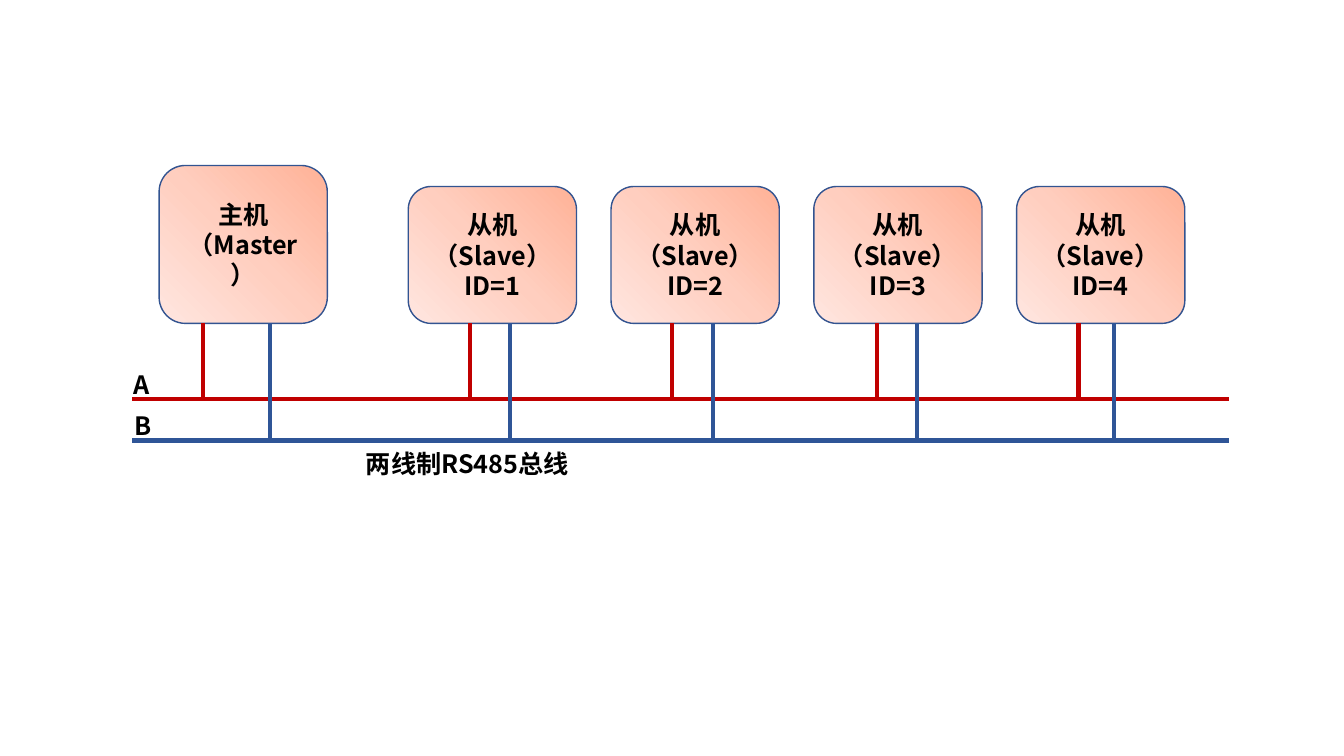
"""Build a slide of a two-wire RS485 bus with one master and four slaves."""
from copy import deepcopy

from lxml import etree
from pptx import Presentation
from pptx.dml.color import RGBColor
from pptx.enum.shapes import MSO_CONNECTOR, MSO_SHAPE
from pptx.enum.text import MSO_ANCHOR, MSO_AUTO_SIZE, PP_ALIGN
from pptx.oxml.ns import qn
from pptx.util import Cm, Pt

ROUNDED = MSO_SHAPE.ROUNDED_RECTANGLE
STRAIGHT = MSO_CONNECTOR.STRAIGHT
MIDDLE = MSO_ANCHOR.MIDDLE
FIT_SHAPE = MSO_AUTO_SIZE.SHAPE_TO_FIT_TEXT
LEFT, CENTER = PP_ALIGN.LEFT, PP_ALIGN.CENTER

FONT = "Noto Sans CJK SC"
BLACK = RGBColor(0x00, 0x00, 0x00)
OUTLINE = RGBColor(0x32, 0x54, 0x91)
RED = RGBColor(0xC0, 0x00, 0x00)
BLUE = RGBColor(0x2F, 0x55, 0x97)
GRADIENT = (
    (0, RGBColor(0xFF, 0xB2, 0x97)),
    (0.5, RGBColor(0xFF, 0xCE, 0xBF)),
    (1, RGBColor(0xFF, 0xE6, 0xE0)),
)

BOX_WIDTH = 4.24
BOX_BOTTOM = 8.15
SLAVE_LEFT, SLAVE_STEP = 10.29, 5.11
BUS_LEFT, BUS_RIGHT = 3.33, 30.96


def write_lines(text_frame, lines, alignment):
    """Write each line as a bold paragraph."""
    text_frame.word_wrap = True
    for index, line in enumerate(lines):
        paragraph = text_frame.paragraphs[0] if index == 0 else text_frame.add_paragraph()
        paragraph.alignment = alignment
        run = paragraph.add_run()
        run.text = line
        run.font.size = Pt(18)
        run.font.bold = True
        run.font.name = FONT
        run.font.color.rgb = BLACK
        east_asian = etree.SubElement(run.font._element, qn("a:ea"))
        east_asian.set("typeface", FONT)


def add_wire(x1, y1, x2, y2, color):
    """Draw one straight wire."""
    wire = slide.shapes.add_connector(STRAIGHT, Cm(x1), Cm(y1), Cm(x2), Cm(y2))
    wire.line.color.rgb = color
    wire.line.width = Pt(3)
    etree.SubElement(wire._element.spPr, qn("a:effectLst"))


presentation = Presentation()
presentation.slide_width = Cm(33.87)
presentation.slide_height = Cm(19.05)
slide = presentation.slides.add_slide(presentation.slide_layouts[6])

stations = [(4.01, 4.17, ["主机（Master）"])]
for number in range(4):
    left = SLAVE_LEFT + number * SLAVE_STEP
    stations.append((left, 4.7, ["从机", "（Slave）", f"ID={number + 1}"]))

for left, top, lines in stations:
    box = slide.shapes.add_shape(
        ROUNDED, Cm(left), Cm(top), Cm(BOX_WIDTH), Cm(BOX_BOTTOM - top)
    )
    box.shadow.inherit = False
    box.fill.gradient()
    box.fill.gradient_angle = 225
    stop_list = box._element.spPr.find(qn("a:gradFill")).find(qn("a:gsLst"))
    stop_list.insert(1, deepcopy(stop_list[0]))
    for stop, (position, color) in zip(box.fill.gradient_stops, GRADIENT):
        stop.position = position
        stop.color.rgb = color
    box.line.color.rgb = OUTLINE
    box.line.width = Pt(1)
    box.text_frame.vertical_anchor = MIDDLE
    write_lines(box.text_frame, lines, CENTER)

buses = (
    (10.06, RED, (5.11, 11.84, 16.94, 22.1, 27.18)),
    (11.1, BLUE, (6.81, 12.85, 17.96, 23.11, 28.07)),
)
for bus_y, color, drops in buses:
    add_wire(BUS_LEFT, bus_y, BUS_RIGHT, bus_y, color)
for bus_y, color, drops in buses:
    for x in drops:
        add_wire(x, bus_y, x, BOX_BOTTOM, color)

labels = (
    (3.12, 9.19, 1.09, "A"),
    (3.15, 10.21, 1.09, "B"),
    (8.97, 11.18, 7.98, "两线制RS485总线"),
)
for left, top, width, text in labels:
    label = slide.shapes.add_textbox(Cm(left), Cm(top), Cm(width), Cm(1.02))
    label.text_frame.auto_size = FIT_SHAPE
    write_lines(label.text_frame, [text], LEFT)

presentation.save("out.pptx")
